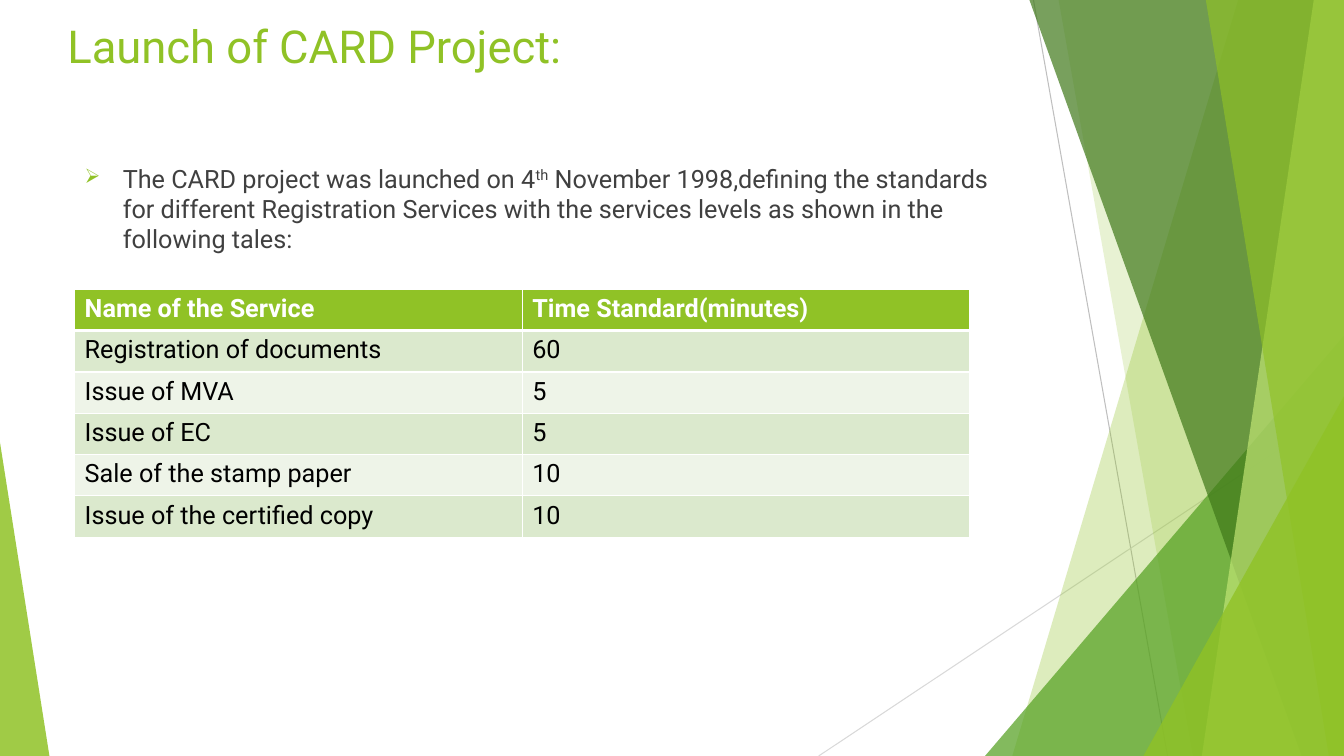
"""Build the slide on the launch of the CARD project and its service standards."""
from dataclasses import dataclass

from lxml import etree
from pptx import Presentation
from pptx.dml.color import RGBColor
from pptx.enum.shapes import MSO_CONNECTOR, MSO_SHAPE
from pptx.enum.text import MSO_ANCHOR
from pptx.oxml.ns import qn
from pptx.util import Inches, Pt

STRAIGHT = MSO_CONNECTOR.STRAIGHT
TRIANGLE = MSO_SHAPE.ISOSCELES_TRIANGLE
TOP = MSO_ANCHOR.TOP

PAGE_WIDTH, PAGE_HEIGHT = 13.33, 7.5
ROW_HEIGHT, COLUMN_WIDTH = 0.41, 4.44
COLORS = {
    "lime": "90C226", "green": "54A021", "forest": "3F7819", "pale": "C0E474",
    "silver": "BFBFBF", "mist": "D9D9D9", "gray": "404040",
    "white": "FFFFFF", "black": "000000", "band": "DBE9CD", "light": "EEF4E8",
}
TITLE_FORMAT = {"name": "Roboto", "size": Pt(32.4), "bold": False}
BODY_FORMAT = {"name": "Roboto", "size": Pt(18), "bold": False}
HEADER_FORMAT = {**BODY_FORMAT, "bold": True}
FRAME_FORMAT = {"word_wrap": True, "vertical_anchor": TOP}
SERVICES = [
    ("Name of the Service", "Time Standard(minutes)"),
    ("Registration of documents", "60"),
    ("Issue of MVA", "5"),
    ("Issue of EC", "5"),
    ("Sale of the stamp paper", "10"),
    ("Issue of the certified copy", "10"),
]


@dataclass
class Ray:
    start: tuple[float, float]
    end: tuple[float, float]
    color: str


@dataclass
class Shard:
    top_x: float
    bottom_x: float
    color: str
    opacity: int


@dataclass
class Corner:
    left: float
    width: float
    height: float
    apex: float
    color: str
    opacity: int


RAYS = [
    Ray((10.25, 0), (11.58, PAGE_HEIGHT), "silver"),
    Ray((PAGE_WIDTH, 4.03), (8.12, PAGE_HEIGHT), "mist"),
]
FACETS = [
    Shard(12.28, 10.04, "lime", 30),
    Shard(10.5, 11.83, "lime", 20),
    Corner(9.77, 3.56, 4.17, 1, "green", 72),
    Shard(10.21, 12.91, "forest", 70),
    Shard(13.03, 11.92, "pale", 70),
    Shard(11.96, 13.18, "lime", 65),
    Corner(11.34, 1.99, 3.57, 1, "lime", 80),
    Corner(0, 0.49, 3.11, 0, "lime", 85),
]


def rgb(color: str) -> RGBColor:
    return RGBColor.from_string(COLORS[color])


def apply_format(target, values: dict) -> None:
    for name, value in values.items():
        setattr(target, name, value)


def draw_ray(page, ray: Ray) -> None:
    points = [Inches(value) for value in (*ray.start, *ray.end)]
    line = page.shapes.add_connector(STRAIGHT, *points)
    line.line.color.rgb = rgb(ray.color)
    line.line.width = Pt(0.75)
    etree.SubElement(line._element.spPr, qn("a:effectLst"))


def draw_facet(page, facet: Shard | Corner) -> None:
    if isinstance(facet, Shard):
        outline = [(facet.top_x, 0), (PAGE_WIDTH, 0),
                   (PAGE_WIDTH, PAGE_HEIGHT), (facet.bottom_x, PAGE_HEIGHT)]
        points = [(Inches(x), Inches(y)) for x, y in outline]
        builder = page.shapes.build_freeform(*points[0])
        builder.add_line_segments(points[1:], close=True)
        shape = builder.convert_to_shape()
    else:
        box = (facet.left, PAGE_HEIGHT - facet.height, facet.width, facet.height)
        shape = page.shapes.add_shape(TRIANGLE, *map(Inches, box))
        shape.adjustments[0] = facet.apex
    shape.shadow.inherit = False
    shape.line.fill.background()
    shape.fill.solid()
    shape.fill.fore_color.rgb = rgb(facet.color)
    color = shape._element.spPr.find(qn("a:solidFill"))[0]
    etree.SubElement(color, qn("a:alpha"), val=str(facet.opacity * 1000))


def add_span(para, text: str, values: dict, color: str):
    span = para.add_run()
    span.text = text
    apply_format(span.font, values)
    span.font.color.rgb = rgb(color)
    return span


def add_para(page, left: float, top: float, width: float, height: float):
    box = page.shapes.add_textbox(*map(Inches, (left, top, width, height)))
    apply_format(box.text_frame, FRAME_FORMAT)
    return box.text_frame.paragraphs[0]


def add_bullet(para, indent: float) -> None:
    properties = para._p.get_or_add_pPr()
    properties.set("marL", str(Inches(indent)))
    properties.set("indent", str(-Inches(indent)))
    color = etree.SubElement(properties, qn("a:buClr"))
    etree.SubElement(color, qn("a:srgbClr"), val=COLORS["lime"])
    etree.SubElement(properties, qn("a:buSzPct"), val="80000")
    etree.SubElement(properties, qn("a:buChar"), char="➢")


def add_borders(cell, widths: dict[str, int]) -> None:
    properties = cell._tc.get_or_add_tcPr()
    for side, width in widths.items():
        line = etree.SubElement(properties, qn(f"a:ln{side}"), w=str(Pt(width)))
        fill = etree.SubElement(line, qn("a:solidFill"))
        etree.SubElement(fill, qn("a:srgbClr"), val=COLORS["white"])


def add_services(page, left: float, top: float) -> None:
    rows, columns = len(SERVICES), len(SERVICES[0])
    size = (COLUMN_WIDTH * columns, ROW_HEIGHT * rows)
    table = page.shapes.add_table(rows, columns, *map(Inches, (left, top, *size))).table
    for row, texts in enumerate(SERVICES):
        if row == 0:
            fill, color, values = "lime", "white", HEADER_FORMAT
        else:
            fill, color, values = "band" if row % 2 else "light", "black", BODY_FORMAT
        widths = {"L": 1, "R": 1, "T": 3 if row == 1 else 1, "B": 3 if row == 0 else 1}
        for column, text in enumerate(texts):
            cell = table.cell(row, column)
            add_borders(cell, widths)
            cell.fill.solid()
            cell.fill.fore_color.rgb = rgb(fill)
            add_span(cell.text_frame.paragraphs[0], text, values, color)


def main() -> None:
    deck = Presentation()
    deck.slide_width, deck.slide_height = Inches(PAGE_WIDTH), Inches(PAGE_HEIGHT)
    page = deck.slides.add_slide(deck.slide_layouts[6])
    for ray in RAYS:
        draw_ray(page, ray)
    for facet in FACETS:
        draw_facet(page, facet)

    title = add_para(page, 0.57, 0.13, 9.4, 0.65)
    add_span(title, "Launch of CARD Project:", TITLE_FORMAT, "lime")

    body = add_para(page, 0.74, 1.57, 9.4, 1.2)
    body.space_before = Pt(10)
    add_bullet(body, 0.38)
    add_span(body, "The CARD project was launched on 4", BODY_FORMAT, "gray")
    ordinal = add_span(body, "th", BODY_FORMAT, "gray")
    ordinal._r.get_or_add_rPr().set("baseline", "30000")
    add_span(body, " November 1998,defining the standards for different Registration "
             "Services with the services levels as shown in the following tales:",
             BODY_FORMAT, "gray")

    add_services(page, 0.74, 2.87)
    deck.save("out.pptx")


if __name__ == "__main__":
    main()
